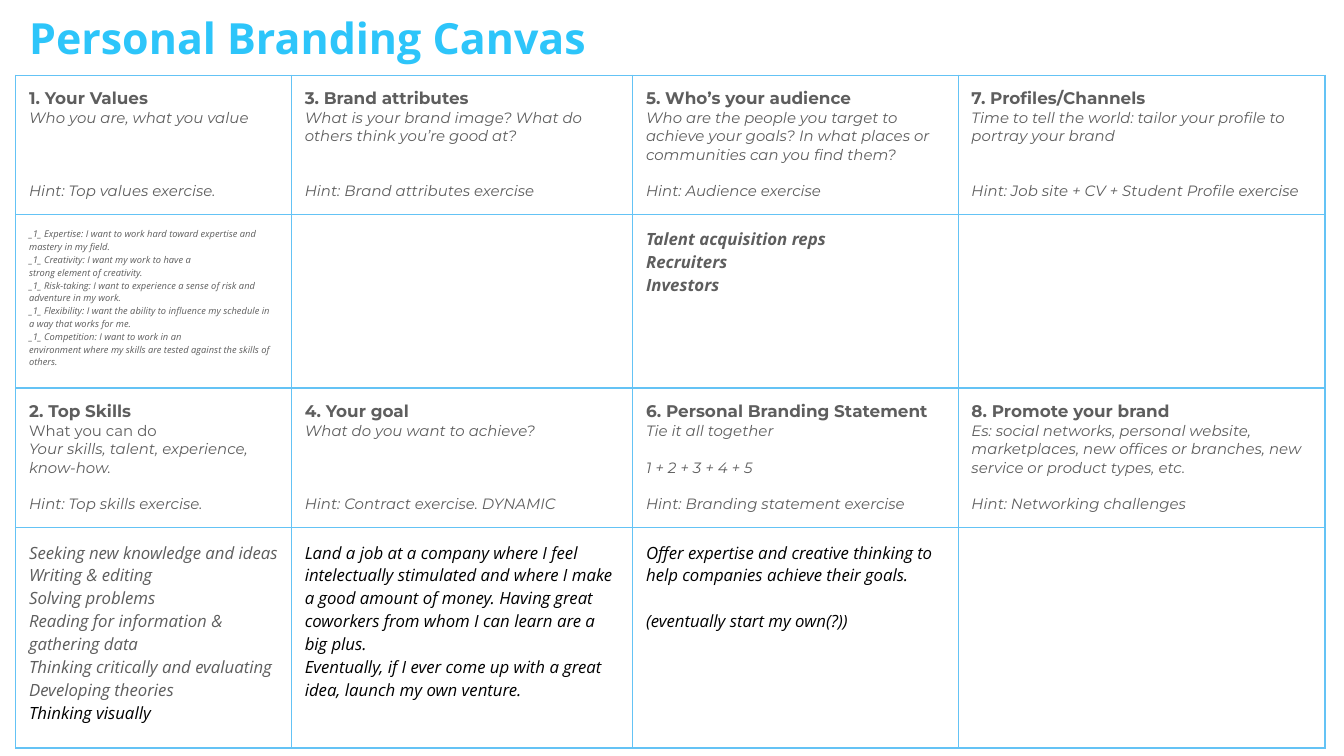
from lxml import etree
from pptx import Presentation
from pptx.dml.color import RGBColor as RGB
from pptx.enum.text import MSO_ANCHOR as Anchor, MSO_AUTO_SIZE as AutoSize, PP_ALIGN as Align
from pptx.oxml.ns import qn
from pptx.util import Cm, Pt

COLORS = {"title": "2DC5FA", "grid": "64C3F5", "text": "5E5E5E", "answer": "000000"}
INSET = Cm(0.25)
HINT_LINE = 9.75  # points in one line of 8 pt Montserrat
ANSWER_LINE = 12.25  # points in one line of 9 pt Open Sans

# Text styles: font, size, bold, italic, colour
STYLES = {
    "title": ("Open Sans", 23, True, False, "title"),
    "heading": ("Montserrat", 9, True, False, "text"),
    "plain": ("Montserrat", 8, False, False, "text"),
    "prompt": ("Montserrat", 8, False, True, "text"),
    "value": ("Open Sans", 5, False, True, "text"),
    "audience": ("Open Sans", 9, True, True, "text"),
    "skill": ("Open Sans", 9, False, True, "text"),
    "answer": ("Open Sans", 9, False, True, "answer"),
}

# Each cell holds lines of (style, text, points of space before)
ROWS = [
    [
        [("heading", "1. Your Values", 0),
         ("prompt", "Who you are, what you value", 0),
         ("prompt", "Hint: Top values exercise.", 3 * HINT_LINE)],
        [("heading", "3. Brand attributes", 0),
         ("prompt", "What is your brand image? What do others think you’re good at?", 0),
         ("prompt", "Hint: Brand attributes exercise", 2 * HINT_LINE)],
        [("heading", "5. Who’s your audience", 0),
         ("prompt", "Who are the people you target to achieve your goals? "
                    "In what places or communities can you find them?", 0),
         ("prompt", "Hint: Audience exercise", HINT_LINE)],
        [("heading", "7. Profiles/Channels", 0),
         ("prompt", "Time to tell the world: tailor your profile to portray your brand", 0),
         ("prompt", "Hint: Job site + CV + Student Profile exercise", 2 * HINT_LINE)],
    ],
    [
        [("value", text, 0) for text in (
            "_1_ Expertise: I want to work hard toward expertise and mastery in my field.",
            "_1_ Creativity: I want my work to have a",
            "strong element of creativity.",
            "_1_ Risk-taking: I want to experience a sense of risk and adventure in my work.",
            "_1_ Flexibility: I want the ability to influence my schedule in a way that works for me.",
            "_1_ Competition: I want to work in an",
            "environment where my skills are tested against the skills of others.")],
        [],
        [("audience", text, 0) for text in ("Talent acquisition reps", "Recruiters", "Investors")],
        [],
    ],
    [
        [("heading", "2. Top Skills", 0),
         ("plain", "What you can do", 0),
         ("prompt", "Your skills, talent, experience, know-how.", 0),
         ("prompt", "Hint: Top skills exercise.", HINT_LINE)],
        [("heading", "4. Your goal", 0),
         ("prompt", "What do you want to achieve?", 0),
         ("prompt", "Hint: Contract exercise. DYNAMIC", 3 * HINT_LINE)],
        [("heading", "6. Personal Branding Statement", 0),
         ("prompt", "Tie it all together", 0),
         ("prompt", "1 + 2 + 3 + 4 + 5", HINT_LINE),
         ("prompt", "Hint: Branding statement exercise", HINT_LINE)],
        [("heading", "8. Promote your brand", 0),
         ("prompt", "Es: social networks, personal website, marketplaces, new offices "
                    "or branches, new service or product types, etc.", 0),
         ("prompt", "Hint: Networking challenges", HINT_LINE)],
    ],
    [
        [("skill", text, 0) for text in (
            "Seeking new knowledge and ideas", "Writing & editing", "Solving problems",
            "Reading for information & gathering data",
            "Thinking critically and evaluating", "Developing theories")]
        + [("answer", "Thinking visually", 0)],
        [("answer", "Land a job at a company where I feel intelectually stimulated and where "
                    "I make a good amount of money. Having great coworkers from whom I can "
                    "learn are a big plus.", 0),
         ("answer", "Eventually, if I ever come up with a great idea, launch my own venture.", 0)],
        [("answer", "Offer expertise and creative thinking to help companies achieve their goals.", 0),
         ("answer", "(eventually start my own(?))", ANSWER_LINE)],
        [],
    ],
]


def write_lines(text_frame, lines):
    for index, (style, text, space) in enumerate(lines):
        paragraph = text_frame.paragraphs[0] if index == 0 else text_frame.add_paragraph()
        paragraph.alignment = Align.LEFT
        paragraph.line_spacing = 1.0
        paragraph.space_before = Pt(space)
        run = paragraph.add_run()
        run.text = text
        name, size, bold, italic, color = STYLES[style]
        font_format = {"name": name, "size": Pt(size), "bold": bold, "italic": italic}
        for attribute, value in font_format.items():
            setattr(run.font, attribute, value)
        run.font.color.rgb = RGB.from_string(COLORS[color])


def add_borders(cell):
    properties = cell._tc.get_or_add_tcPr()
    for position, side in enumerate(("lnL", "lnR", "lnT", "lnB")):
        line = etree.Element(qn(f"a:{side}"), w=str(Pt(0.75)))
        fill = etree.SubElement(line, qn("a:solidFill"))
        etree.SubElement(fill, qn("a:srgbClr"), val=COLORS["grid"])
        properties.insert(position, line)


presentation = Presentation()
presentation.slide_width, presentation.slide_height = Cm(25.4), Cm(14.28)
slide = presentation.slides.add_slide(presentation.slide_layouts[5])

# Canvas grid
column_widths = [5.21, 6.45, 6.15, 6.93]
row_heights = [2.63, 3.28, 2.64, 4.16]
frame = slide.shapes.add_table(len(ROWS), len(column_widths), Cm(0.3), Cm(1.42),
                               Cm(sum(column_widths)), Cm(sum(row_heights)))
table = frame.table
table.first_row = table.horz_banding = False
for column, width in zip(table.columns, column_widths):
    column.width = Cm(width)
for row, height in zip(table.rows, row_heights):
    row.height = Cm(height)

# Cell contents
cell_format = {"margin_left": INSET, "margin_right": INSET, "margin_top": INSET,
               "margin_bottom": INSET, "vertical_anchor": Anchor.TOP}
for row, contents in zip(table.rows, ROWS):
    for cell, lines in zip(row.cells, contents):
        for attribute, value in cell_format.items():
            setattr(cell, attribute, value)
        cell.fill.background()
        add_borders(cell)
        write_lines(cell.text_frame, lines)

# Title
title = slide.shapes.title
title_place = {"left": Cm(0.3), "top": Cm(-0.03), "width": Cm(19.1), "height": Cm(1.37)}
for attribute, value in title_place.items():
    setattr(title, attribute, value)
title_format = {"margin_left": INSET, "margin_right": INSET, "margin_top": INSET,
                "margin_bottom": INSET, "vertical_anchor": Anchor.TOP,
                "word_wrap": True, "auto_size": AutoSize.NONE}
for attribute, value in title_format.items():
    setattr(title.text_frame, attribute, value)
write_lines(title.text_frame, [("title", "Personal Branding Canvas", 0)])

presentation.save("out.pptx")
